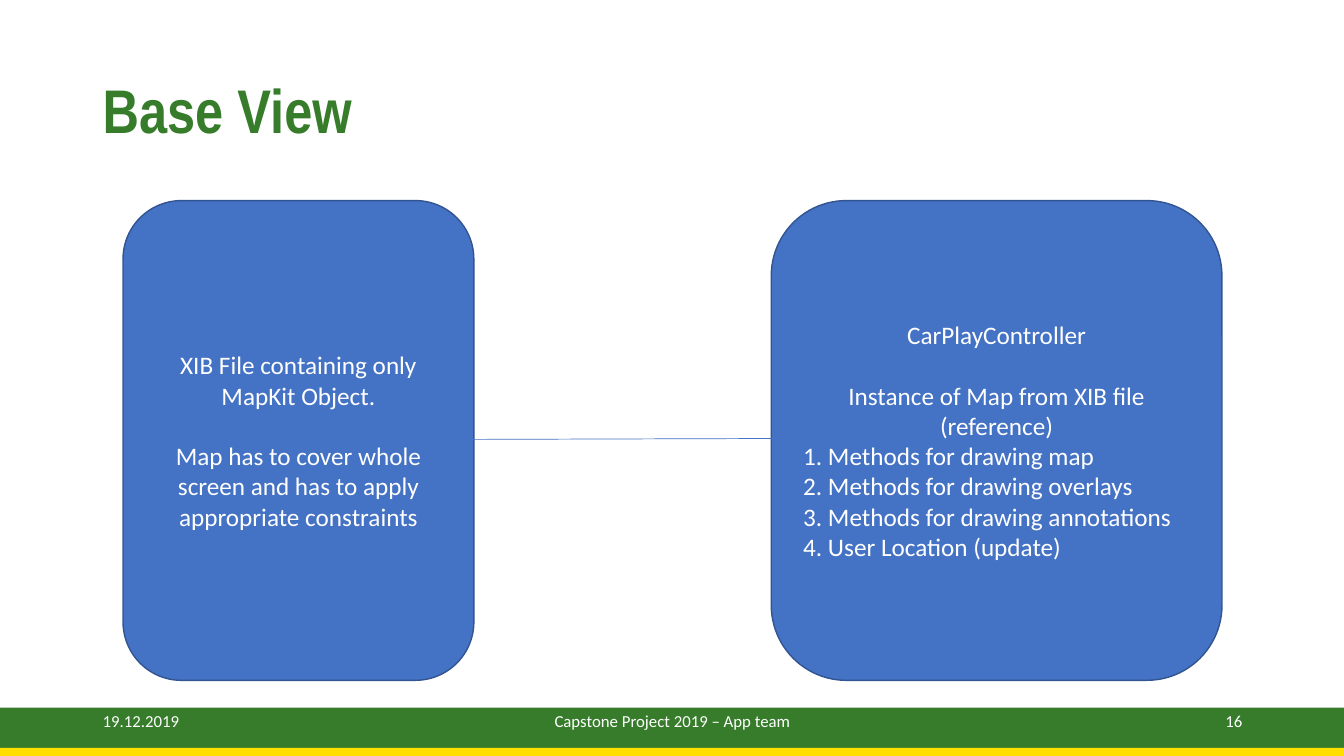
from dataclasses import dataclass

from lxml import etree
from pptx import Presentation
from pptx.dml.color import RGBColor
from pptx.enum import shapes as sh, text as tx
from pptx.oxml import ns
from pptx.util import Inches, Pt

LEFT, MID, RIGHT, JUST = (tx.PP_ALIGN.LEFT, tx.PP_ALIGN.CENTER,
                          tx.PP_ALIGN.RIGHT, tx.PP_ALIGN.JUSTIFY)


@dataclass(frozen=True)
class Theme:
    green: str = "367C2B"
    gold: str = "FFDE00"
    blue: str = "4472C4"
    edge: str = "325491"
    white: str = "FFFFFF"
    head: str = "Arial Narrow"
    body: str = "Calibri"
    big: float = 44
    mid: float = 18
    small: float = 12
    gap: float = 21.6


@dataclass(frozen=True)
class Para:
    words: str
    align: tx.PP_ALIGN = MID
    before: float = 0


@dataclass(frozen=True)
class Box:
    left: float
    top: float
    width: float
    height: float

    def place(self) -> list:
        return [Inches(v) for v in (self.left, self.top, self.width, self.height)]


@dataclass(frozen=True)
class Card:
    box: Box
    paras: tuple


T = Theme()

BANDS = ((Box(0, 7.02, 13.33, 0.4), T.green),
         (Box(0, 7.42, 13.33, 0.08), T.gold))

FOOT = ((Box(0.92, 6.95, 3, 0.4), Para("19.12.2019", LEFT)),
        (Box(4.42, 6.95, 4.5, 0.4), Para("Capstone Project 2019 – App team")),
        (Box(9.42, 6.95, 3, 0.4), Para("16", RIGHT)))

STEPS = ("Methods for drawing map", "Methods for drawing overlays",
         "Methods for drawing annotations", "User Location (update)")

CARDS = (
    Card(Box(1.22, 1.99, 3.48, 4.76), (
        Para("XIB File containing only MapKit Object."),
        Para("Map has to cover whole screen and has to apply "
             "appropriate constraints", before=T.gap))),
    Card(Box(7.65, 1.99, 4.47, 4.76), (
        Para("CarPlayController"),
        Para("Instance of Map from XIB file (reference)", before=T.gap),
        *(Para(f"{n}. {step}", JUST) for n, step in enumerate(STEPS, 1)))),
)


def rgb(code: str) -> RGBColor:
    return RGBColor.from_string(code)


def write(frame, paras: tuple, size: float, color: str = T.white,
          face: str = T.body, bold: bool = False, lead: float = 1) -> None:
    frame.word_wrap = True
    frame.vertical_anchor = tx.MSO_ANCHOR.MIDDLE
    for i, item in enumerate(paras):
        para = frame.paragraphs[0] if i == 0 else frame.add_paragraph()
        para.alignment = item.align
        para.line_spacing = lead
        if item.before:
            para.space_before = Pt(item.before)
        run = para.add_run()
        run.text = item.words
        font = run.font
        font.size, font.name, font.bold = Pt(size), face, bold
        font.color.rgb = rgb(color)


def block(slide, kind: sh.MSO_SHAPE, box: Box, fill: str, edge: str = ""):
    shape = slide.shapes.add_shape(kind, *box.place())
    shape.shadow.inherit = False
    shape.fill.solid()
    shape.fill.fore_color.rgb = rgb(fill)
    if edge:
        shape.line.color.rgb = rgb(edge)
        shape.line.width = Pt(1)
    else:
        shape.line.fill.background()
    return shape


def label(slide, box: Box, para: Para, size: float, **style) -> None:
    frame = slide.shapes.add_textbox(*box.place()).text_frame
    write(frame, (para,), size, **style)


def link(slide, start: tuple, end: tuple) -> None:
    ends = [Inches(v) for v in (*start, *end)]
    line = slide.shapes.add_connector(sh.MSO_CONNECTOR.STRAIGHT, *ends)
    line.line.color.rgb = rgb(T.blue)
    line.line.width = Pt(0.5)
    etree.SubElement(line._element.spPr, ns.qn("a:effectLst"))


def main() -> None:
    deck = Presentation()
    deck.slide_width, deck.slide_height = Inches(13.33), Inches(7.5)
    slide = deck.slides.add_slide(deck.slide_layouts[6])

    # Footer bands
    for box, fill in BANDS:
        block(slide, sh.MSO_SHAPE.RECTANGLE, box, fill)

    # Title
    label(slide, Box(0.92, 0.4, 11.5, 1.45), Para("Base View", LEFT), T.big,
          color=T.green, face=T.head, bold=True, lead=0.9)

    # Footer text
    for box, para in FOOT:
        label(slide, box, para, T.small)

    # Cards and the line that joins them
    for card in CARDS:
        shape = block(slide, sh.MSO_SHAPE.ROUNDED_RECTANGLE, card.box,
                      T.blue, T.edge)
        write(shape.text_frame, card.paras, T.mid)
    link(slide, (4.44, 4.36), (7.88, 4.35))

    deck.save("out.pptx")


if __name__ == "__main__":
    main()
